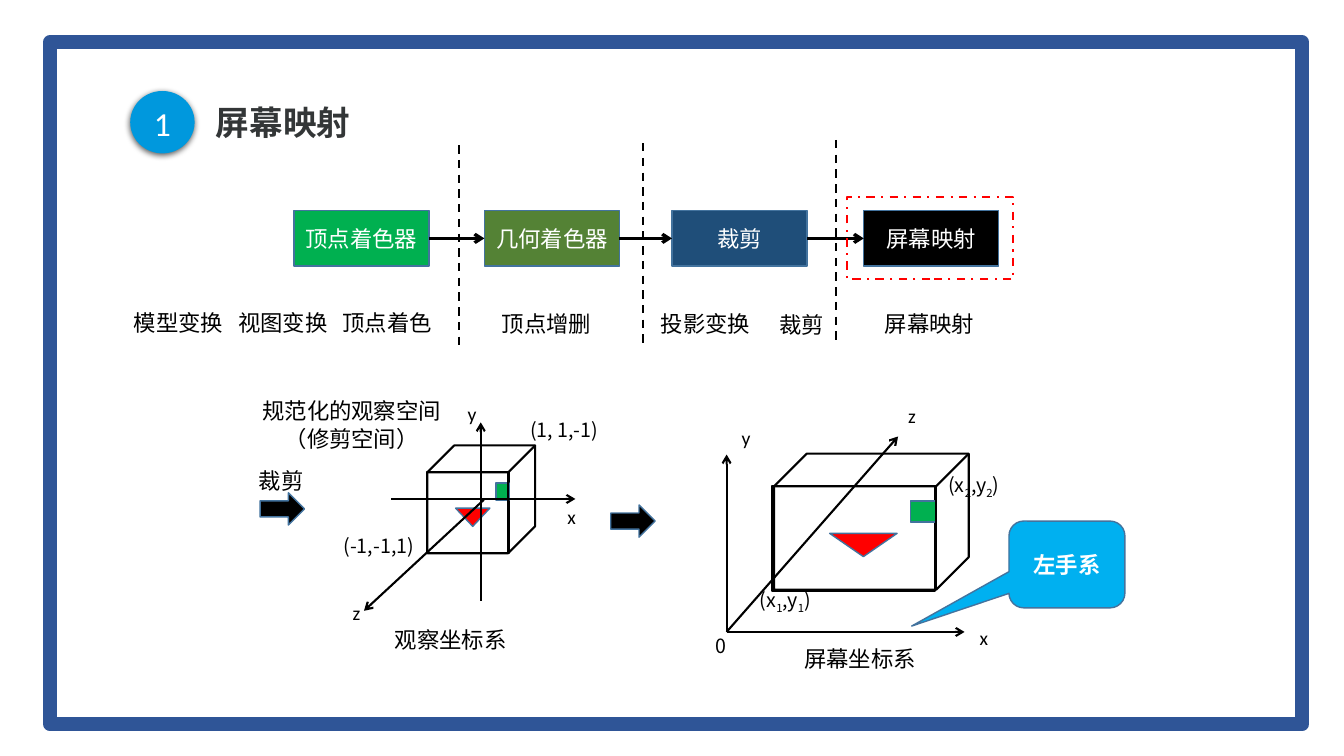
from lxml import etree
from pptx import Presentation
from pptx.dml.color import RGBColor
from pptx.enum.dml import MSO_LINE
from pptx.enum.shapes import MSO_CONNECTOR, MSO_SHAPE
from pptx.enum.text import MSO_ANCHOR, MSO_AUTO_SIZE, PP_ALIGN
from pptx.oxml.ns import qn
from pptx.util import Pt

RECT, OVAL, CUBE = MSO_SHAPE.RECTANGLE, MSO_SHAPE.OVAL, MSO_SHAPE.CUBE
WEDGE, ARROW = MSO_SHAPE.ISOSCELES_TRIANGLE, MSO_SHAPE.RIGHT_ARROW
CALLOUT = MSO_SHAPE.ROUNDED_RECTANGULAR_CALLOUT
STRAIGHT = MSO_CONNECTOR.STRAIGHT
DASH, DASH_DOT = MSO_LINE.DASH, MSO_LINE.DASH_DOT
LEFT, CENTER, MIDDLE = PP_ALIGN.LEFT, PP_ALIGN.CENTER, MSO_ANCHOR.MIDDLE
FIT = MSO_AUTO_SIZE.SHAPE_TO_FIT_TEXT
SANS, LATIN = "Noto Sans CJK SC", "Calibri"

HEX = {"white": "FFFFFF", "black": "000000", "frame": "2F5597", "title": "333637",
       "badge": "0098DD", "green": "00B050", "olive": "548235", "navy": "1F4E79",
       "edge": "43739E", "red": "FF0000", "sky": "00B0F0"}
BODY = {"size": Pt(16), "name": SANS}
POINT = {"size": Pt(14), "name": SANS}
AXIS = {"size": Pt(14), "name": LATIN}
BADGE = {"size": Pt(24), "name": LATIN}
HEAD = {"size": Pt(24), "name": SANS, "bold": True}
BOLD = {**BODY, "bold": True}


def rgb(key):
    """Return the named colour."""
    return RGBColor.from_string(HEX[key])


def style(run, form, color):
    """Give a run its font, size and colour."""
    run.font.color.rgb = rgb(color)
    for key, val in form.items():
        setattr(run.font, key, val)
    etree.SubElement(run.font.element if hasattr(run.font, "element") else run._r.rPr,
                     qn("a:ea"), typeface=form["name"])


def write(frame, text, form, color="black", align=LEFT):
    """Fill a frame line by line; parts between bars are subscripts."""
    frame.word_wrap = True
    for i, line in enumerate(text.split("\n")):
        para = frame.paragraphs[0] if i == 0 else frame.add_paragraph()
        para.alignment = align
        para.line_spacing = Pt(round(form["size"].pt * 1.22, 1))
        for j, part in enumerate(line.split("|")):
            run = para.add_run()
            run.text = part
            style(run, form, color)
            if j % 2:
                run._r.rPr.set("baseline", "-25000")


def label(slide, x, y, w, text, form=BODY, align=LEFT):
    """Place a plain text label."""
    high = form["size"].pt * 1.22 * (1 + text.count("\n")) + 7.2
    box = slide.shapes.add_textbox(Pt(x), Pt(y), Pt(w), Pt(round(high, 1)))
    write(box.text_frame, text, form, align=align)
    box.text_frame.auto_size = FIT


def shape(slide, kind, x, y, w, h, fill=None, line="edge", width=1):
    """Place a preset shape with its fill and outline."""
    item = slide.shapes.add_shape(kind, Pt(x), Pt(y), Pt(w), Pt(h))
    item.shadow.inherit = False
    if fill:
        item.fill.solid()
        item.fill.fore_color.rgb = rgb(fill)
    else:
        item.fill.background()
    if line:
        item.line.color.rgb = rgb(line)
        item.line.width = Pt(width)
    else:
        item.line.fill.background()
    return item


def block(slide, kind, box, fill, text, form=BODY, line="edge"):
    """Place a filled shape with centred white text."""
    item = shape(slide, kind, *box, fill, line)
    item.text_frame.vertical_anchor = MIDDLE
    write(item.text_frame, text, form, "white", CENTER)
    return item


def rule(slide, x1, y1, x2, y2, width=1.5, dash=None, tip=True):
    """Draw a straight line, with an arrowhead or dashes."""
    item = slide.shapes.add_connector(STRAIGHT, Pt(x1), Pt(y1), Pt(x2), Pt(y2))
    item.line.color.rgb = rgb("black")
    item.line.width = Pt(width)
    if dash:
        item.line.dash_style = dash
    props = item._element.spPr
    if tip:
        etree.SubElement(props.find(qn("a:ln")), qn("a:tailEnd"), type="arrow")
    etree.SubElement(props, qn("a:effectLst"))
    return item


def border(slide, box):
    """Draw the white panel and its thick frame."""
    x, y, w, h = box
    shape(slide, RECT, x + 6, y + 6, w - 12, h - 12, "white", None)
    shape(slide, RECT, *box, line="frame", width=10)


def header(slide, box):
    """Place the numbered badge and the title."""
    x, y, w, h = box
    title = slide.shapes.title
    spots = {"left": x + 54, "top": y + 2, "width": w - 54, "height": h}
    for key, val in spots.items():
        setattr(title, key, Pt(val))
    frame = title.text_frame
    frame.vertical_anchor = MIDDLE
    para = frame.paragraphs[0]
    para.alignment, para.line_spacing = LEFT, 0.9
    run = para.add_run()
    run.text = "屏幕映射"
    style(run, HEAD, "title")
    tree = title._element.getparent()
    tree.append(title._element)
    disc = block(slide, OVAL, (x, y, 46, 44.6), "badge", "1", BADGE, None)
    glow = etree.SubElement(disc._element.spPr.find(qn("a:effectLst")), qn("a:outerShdw"),
                            blurRad="57150", dist="19050", dir="5400000", algn="ctr")
    tint = etree.SubElement(glow, qn("a:srgbClr"), val=HEX["black"])
    etree.SubElement(tint, qn("a:alpha"), val="63000")


def flow(slide, box):
    """Draw the pipeline stages, their dividers and their tasks."""
    x, y = box[:2]
    stages = [(122, "顶点着色器", "green"), (258, "几何着色器", "olive"),
              (392, "裁剪", "navy"), (529, "屏幕映射", "black")]
    cells = [block(slide, RECT, (x + dx, y + 50.5, 96.5, 39.6), fill, text)
             for dx, text, fill in stages]
    for cell, then in zip(cells, cells[1:]):
        link = rule(slide, 0, 0, 0, 0, 2.25)
        link.begin_connect(cell, 3)
        link.end_connect(then, 1)
    for dx, dy in [(239.6, 3.7), (371.4, 2.2), (508.9, 0)]:
        rule(slide, x + dx, y + dy, x + dx, y + dy + 147, dash=DASH, tip=False)
    tasks = [(0.5, 117, "模型变换"), (75, 117, "视图变换"), (149.6, 117, "顶点着色"),
             (263.4, 117.5, "顶点增删"), (377, 117.5, "投影变换"),
             (461.4, 118.5, "裁剪"), (537, 117.5, "屏幕映射")]
    for dx, dy, text in tasks:
        label(slide, x + dx, y + dy, 16 * len(text) + 15, text)
    mark = shape(slide, RECT, x + 517, y + 40.4, 118.8, 59, line="red", width=1.5)
    mark.line.dash_style = DASH_DOT


def scene(slide, box, front, cube, depth, wedge, tile, axes, notes, arrow):
    """Draw a box in its coordinate system, with axes and labels."""
    x, y = box[:2]

    def put(kind, spot, *look):
        """Place a shape at a spot within the region."""
        dx, dy, w, h = spot
        return shape(slide, kind, x + dx, y + dy, w, h, *look)

    put(ARROW, (*arrow, 31.7, 23), "black")
    put(RECT, front, None, "black", 1.5)
    put(WEDGE, wedge, "red").rotation = 180
    put(RECT, tile, "green")
    put(CUBE, cube, None, "black", 1.5).adjustments[0] = depth
    for x1, y1, x2, y2 in axes:
        rule(slide, x + x1, y + y1, x + x2, y + y2)
    for dx, dy, w, text, form in notes:
        align = CENTER if "\n" in text else LEFT
        label(slide, x + dx, y + dy, w, text, form, align)


def view(slide, box):
    """Draw the normalised viewing space."""
    notes = [(-0.2, 49.8, 47, "裁剪", BODY), (97, 163.5, 134, "观察坐标系", BODY),
             (1.3, 0, 144, "规范化的观察空间\n（修剪空间）", BODY),
             (60.3, 97.3, 79, "(-1,-1,1)", POINT), (193.5, 14.5, 79, "(1, 1,-1)", POINT),
             (148.9, 3, 21, "y", AXIS), (220.2, 77, 21, "x", AXIS), (66.8, 145.5, 21, "z", AXIS)]
    axes = [(165.4, 149, 165.4, 21.7), (101.4, 76.4, 233, 76.4), (167.6, 77, 82, 156.3)]
    scene(slide, box, (127.3, 57, 58.3, 58.3), (127.3, 38.2, 77, 77), 0.25,
          (147.4, 83, 24.5, 13), (176.2, 65, 9.4, 12.2), axes, notes, (7.8, 72))


def screen(slide, box):
    """Draw the screen space with its callout."""
    x, y = box[:2]
    notes = [(131.4, 172.2, 95, "屏幕坐标系", BODY), (99.7, 133.3, 79, "(x|1|,y|1|)", POINT),
             (234.3, 51.2, 79, "(x|2|,y|2|)", POINT), (68, 163.6, 79, "0", POINT),
             (256.6, 158.5, 21, "x", AXIS), (86.7, 15.2, 21, "y", AXIS), (205.5, 0, 21, "z", AXIS)]
    axes = [(83, 166.4, 205.5, 26.8), (83, 166.4, 83, 39.7), (83, 166.4, 253, 166.4)]
    scene(slide, box, (115.5, 62, 116.6, 74.9), (117, 39, 139, 97.2), 0.24,
          (156.6, 96, 48.2, 16.6), (214.2, 72.8, 18.7, 15.1), axes, notes, (0.3, 75.7))
    note = block(slide, CALLOUT, (x + 284.7, y + 87.2, 82.8, 62), "sky", "左手系", BOLD)
    for i, val in enumerate((-1.34, 0.71, 0.17)):
        note.adjustments[i] = val


def main():
    """Build the slide and save it."""
    deck = Presentation()
    deck.slide_width, deck.slide_height = Pt(960), Pt(540)
    slide = deck.slides.add_slide(deck.slide_layouts[5])
    border(slide, (36, 30, 894, 487.5))
    header(slide, (93, 65, 655, 44))
    flow(slide, (88, 100, 640, 150))
    view(slide, (178, 280, 273, 190))
    screen(slide, (436, 285, 368, 200))
    deck.save("out.pptx")


if __name__ == "__main__":
    main()
